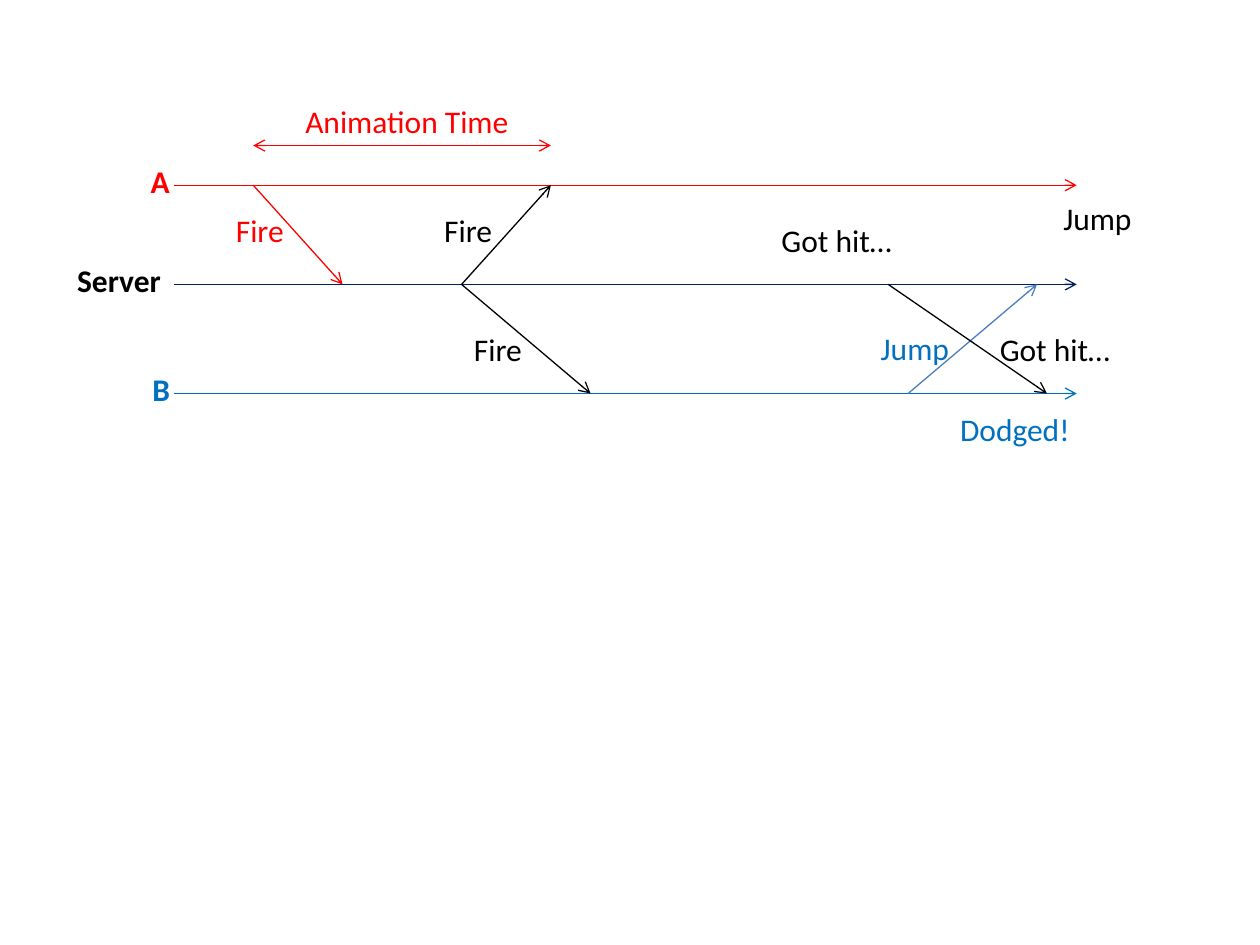
"""Build a timeline of messages between two players and their server."""
from typing import NamedTuple

from lxml.etree import SubElement
from pptx import Presentation
from pptx.dml.color import RGBColor
from pptx.enum.shapes import MSO_CONNECTOR
from pptx.enum.text import MSO_AUTO_SIZE
from pptx.oxml.ns import qn
from pptx.slide import Slide
from pptx.util import Inches, Length, Mm, Pt

RED = RGBColor(0xFF, 0x00, 0x00)
NAVY = RGBColor(0x00, 0x20, 0x60)
BLUE = RGBColor(0x00, 0x70, 0xC0)
STEEL = RGBColor(0x4B, 0x7E, 0xBC)
BLACK = RGBColor(0x00, 0x00, 0x00)

GRID_UNIT = Mm(2)
GRID_LEFT = Inches(1.38)
GRID_TOP = Inches(1.47)
LABEL_ROWS = 5.1
LANE_A, LANE_SERVER, LANE_B = 0, 10, 21
TIMELINE_END = 91
ANIMATION_ROW = -4
A_FIRES, SERVER_SENDS_FIRE, A_SEES_FIRE = 8, 29, 38


class Arrow(NamedTuple):
    """An arrow between two grid points."""
    start_col: float
    start_row: float
    end_col: float
    end_row: float
    color: RGBColor
    both_ends: bool = False


class Label(NamedTuple):
    """A caption whose box starts at a grid point."""
    text: str
    col: float
    row: float
    cols: float
    color: RGBColor
    bold: bool = False


ARROWS = [
    Arrow(0, LANE_A, TIMELINE_END, LANE_A, RED),
    Arrow(0, LANE_SERVER, TIMELINE_END, LANE_SERVER, NAVY),
    Arrow(0, LANE_B, TIMELINE_END, LANE_B, BLUE),
    Arrow(A_FIRES, LANE_A, 17, LANE_SERVER, RED),
    Arrow(A_FIRES, ANIMATION_ROW, A_SEES_FIRE, ANIMATION_ROW, RED, True),
    Arrow(SERVER_SENDS_FIRE, LANE_SERVER, A_SEES_FIRE, LANE_A, BLACK),
    Arrow(SERVER_SENDS_FIRE, LANE_SERVER, 42, LANE_B, BLACK),
    Arrow(74, LANE_B, 87, LANE_SERVER, STEEL),
    Arrow(72, LANE_SERVER, 88, LANE_B, BLACK),
]

LABELS = [
    Label("Animation Time", 12, -9, 23.2, RED),
    Label("Fire", 5, 2, 7.5, RED),
    Label("Fire", 26, 2, 7.5, BLACK),
    Label("Fire", 29, 14, 7.5, BLACK),
    Label("Jump", 70, 13.9, 9.5, BLUE),
    Label("Dodged!", 78, 22, 13.7, BLUE),
    Label("Jump", 88.4, 0.8, 9.5, BLACK),
    Label("Got hit…", 60, 3, 14, BLACK),
    Label("Got hit…", 82, 14, 14, BLACK),
    Label("A", -3.6, -3, 4.4, RED, True),
    Label("Server", -11, 7, 11, BLACK, True),
    Label("B", -3.4, 18, 4.3, BLUE, True),
]


def grid_x(col: float) -> Length:
    """Return the horizontal position of a grid column."""
    return Length(GRID_LEFT + round(col * GRID_UNIT))


def grid_y(row: float) -> Length:
    """Return the vertical position of a grid row."""
    return Length(GRID_TOP + round(row * GRID_UNIT))


def draw_arrow(slide: Slide, arrow: Arrow) -> None:
    """Draw a thin line with open arrowheads."""
    connector = slide.shapes.add_connector(
        MSO_CONNECTOR.STRAIGHT,
        grid_x(arrow.start_col), grid_y(arrow.start_row),
        grid_x(arrow.end_col), grid_y(arrow.end_row),
    )
    connector.line.color.rgb = arrow.color
    connector.line.width = Pt(0.75)
    outline = connector.line._get_or_add_ln()
    if arrow.both_ends:
        SubElement(outline, qn("a:headEnd"), type="arrow")
    SubElement(outline, qn("a:tailEnd"), type="arrow")
    SubElement(connector._element.spPr, qn("a:effectLst"))


def draw_label(slide: Slide, label: Label) -> None:
    """Draw a one-line caption."""
    box = slide.shapes.add_textbox(
        grid_x(label.col), grid_y(label.row),
        round(label.cols * GRID_UNIT), round(LABEL_ROWS * GRID_UNIT),
    )
    frame = box.text_frame
    frame.word_wrap = False
    frame.auto_size = MSO_AUTO_SIZE.SHAPE_TO_FIT_TEXT
    run = frame.paragraphs[0].add_run()
    run.text = label.text
    run.font.name = "Calibri"
    run.font.size = Pt(18)
    run.font.bold = label.bold
    run.font.color.rgb = label.color


def main() -> None:
    """Build and save the slide."""
    presentation = Presentation()
    presentation.slide_width = Inches(10)
    presentation.slide_height = Inches(7.5)
    blank_layout = presentation.slide_layouts.get_by_name("Blank")
    slide = presentation.slides.add_slide(blank_layout)
    for arrow in ARROWS:
        draw_arrow(slide, arrow)
    for label in LABELS:
        draw_label(slide, label)
    presentation.save("out.pptx")


if __name__ == "__main__":
    main()
